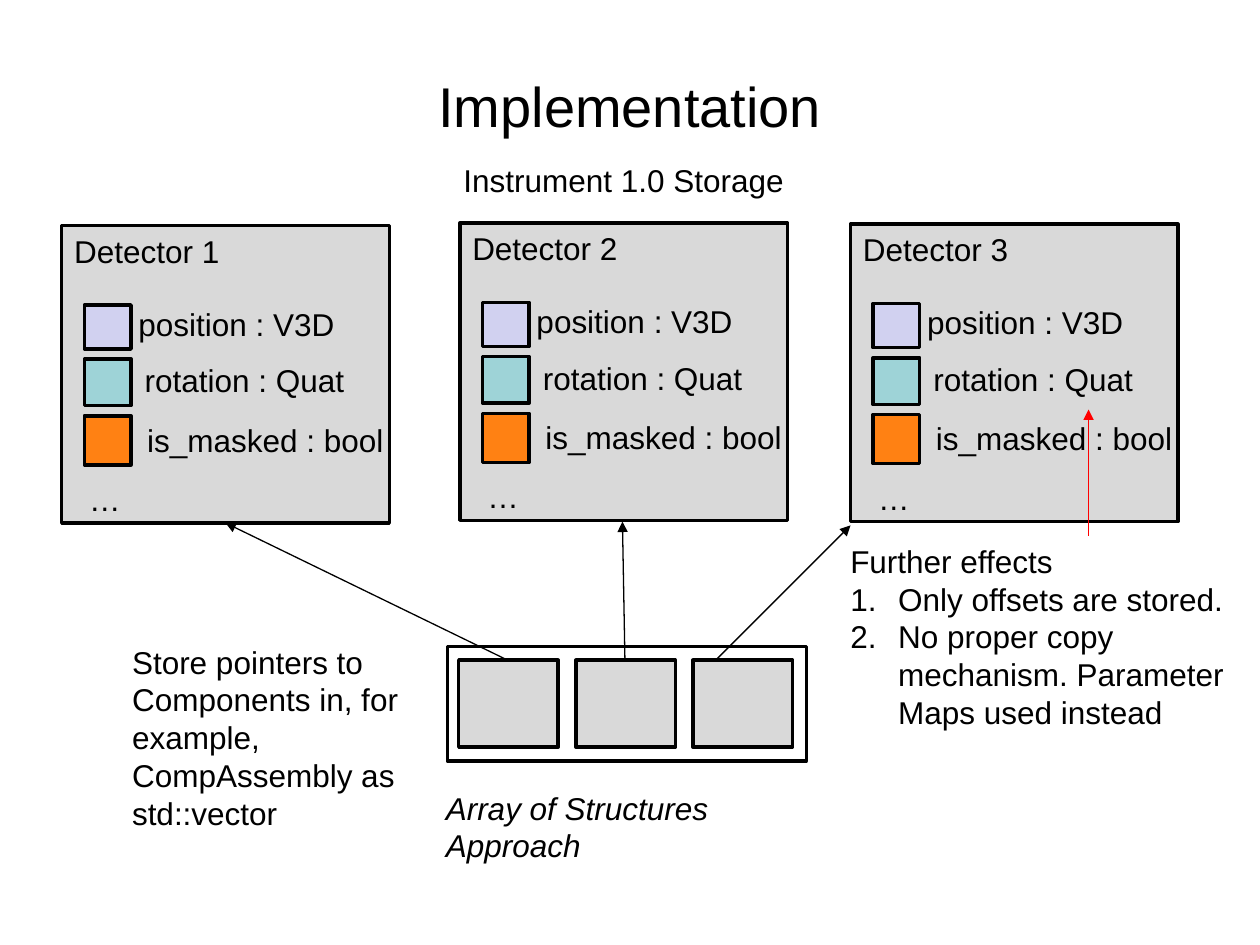
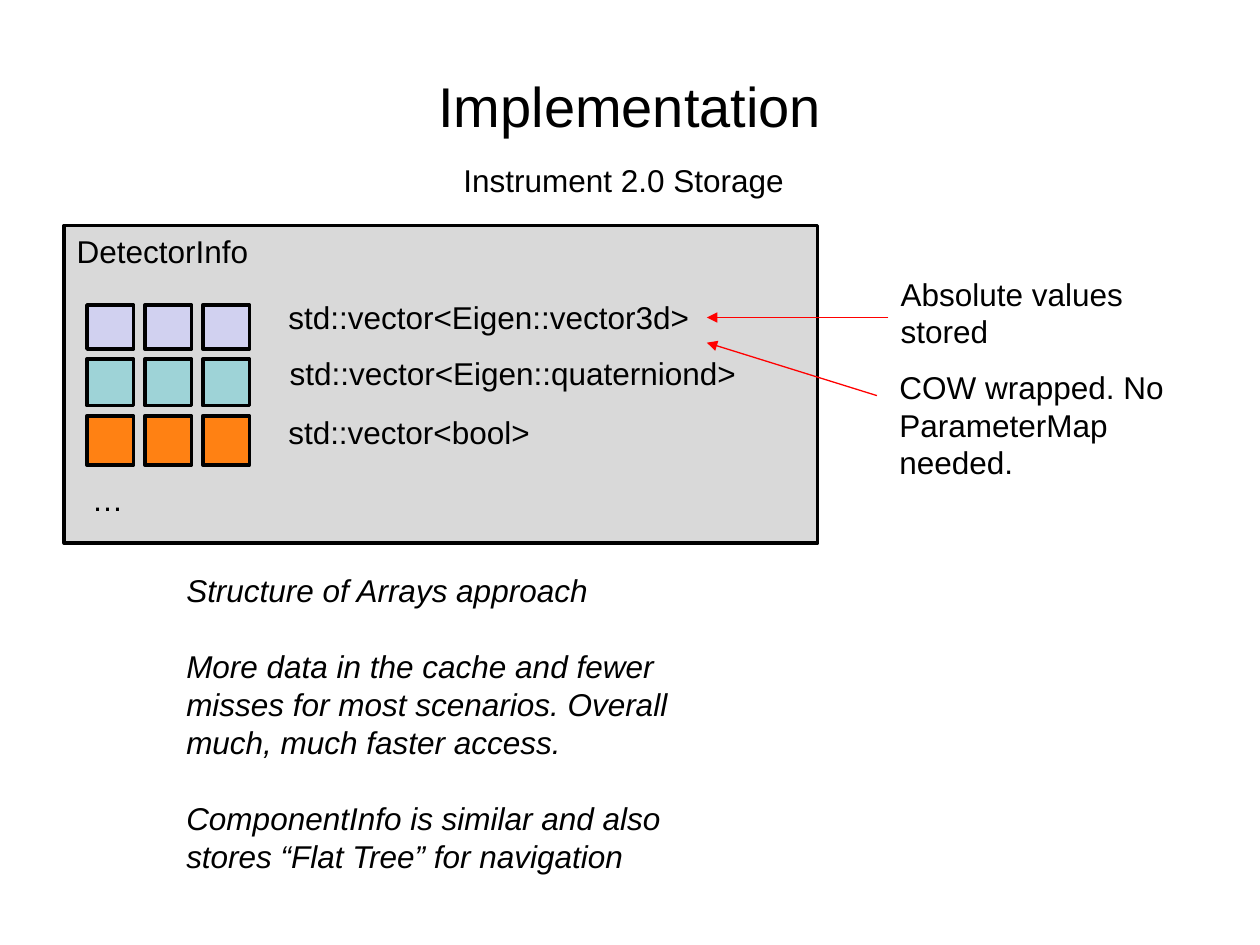
import lxml.etree
import pptx
import pptx.dml.color
import pptx.enum.shapes
import pptx.enum.text
import pptx.oxml.ns
import pptx.util

PX = 9144
FONT = "Arial"
COLORS = {
    "ink": "000000",
    "panel": "D9D9D9",
    "position": "D1D1F0",
    "rotation": "9ED3D7",
    "mask": "FF8113",
    "callout": "FF0000",
}
FIELDS = [("position", 63, 35), ("rotation", 106, 37), ("mask", 151, 39)]
SWATCH_WIDTH = 37
SWATCH_STEP = 46


def color(name):
    return pptx.dml.color.RGBColor.from_string(COLORS[name])


def add_xml(parent, tag, **attributes):
    return lxml.etree.SubElement(parent, pptx.oxml.ns.qn(tag), **attributes)


class Deck:
    def __init__(self):
        self.presentation = pptx.Presentation()
        self.presentation.slide_width = 1000 * PX
        self.presentation.slide_height = 750 * PX
        self.slide = None

    def start(self, storage):
        self.slide = self.presentation.slides.add_slide(self.presentation.slide_layouts[6])
        self.text(337, 52, 326, 64, ["Implementation"], size=32, wrap=False, centered=True)
        self.text(358, 123, 284, 40, [storage], wrap=False)

    def box(self, left, top, width, height, fill=None):
        box = self.slide.shapes.add_shape(
            pptx.enum.shapes.MSO_SHAPE.RECTANGLE, left * PX, top * PX, width * PX, height * PX)
        box.shadow.inherit = False
        if fill:
            box.fill.solid()
            box.fill.fore_color.rgb = color(fill)
        else:
            box.fill.background()
        box.line.color.rgb = color("ink")
        box.line.width = pptx.util.Pt(2)

    def text(self, left, top, width, height, lines, size=18, wrap=True,
             italic=False, centered=False, numbered_from=None, gap=0):
        frame = self.slide.shapes.add_textbox(
            left * PX, top * PX, width * PX, height * PX).text_frame
        frame.word_wrap = wrap
        frame.auto_size = pptx.enum.text.MSO_AUTO_SIZE.SHAPE_TO_FIT_TEXT
        for index, line in enumerate(lines):
            paragraph = frame.add_paragraph() if index else frame.paragraphs[0]
            if centered:
                paragraph.alignment = pptx.enum.text.PP_ALIGN.CENTER
            if index and gap:
                paragraph.space_before = pptx.util.Pt(gap)
            if numbered_from is not None and index >= numbered_from:
                self.number(paragraph)
            run = paragraph.add_run()
            run.text = line
            run.font.name = FONT
            run.font.size = pptx.util.Pt(size)
            run.font.italic = italic
            run.font.color.rgb = color("ink")

    def number(self, paragraph):
        properties = paragraph._p.get_or_add_pPr()
        properties.set("marL", str(38 * PX))
        properties.set("indent", str(-38 * PX))
        add_xml(properties, "a:buFont", typeface=FONT)
        add_xml(properties, "a:buAutoNum", type="arabicPeriod")

    def arrow(self, start, end, stroke="ink"):
        arrow = self.slide.shapes.add_connector(
            pptx.enum.shapes.MSO_CONNECTOR.STRAIGHT, *(value * PX for value in start + end))
        arrow.line.color.rgb = color(stroke)
        arrow.line.width = pptx.util.Pt(0.75)
        add_xml(arrow.line._get_or_add_ln(), "a:tailEnd", type="triangle")
        add_xml(arrow._element.spPr, "a:effectLst")

    def panel(self, left, top, width, height, heading, columns, labels):
        self.box(left, top, width, height, "panel")
        for field, offset, swatch_height in FIELDS:
            for column in range(columns):
                self.box(left + 18 + SWATCH_STEP * column, top + offset,
                         SWATCH_WIDTH, swatch_height, field)
        for label, right, down, label_width in labels:
            self.text(left + right, top + down, label_width, 40, [label], wrap=False)
        self.text(left, top, 260, 40, [heading])
        self.text(left + 12, top + 197, 45, 40, ["…"], wrap=False)


def build_array_of_structures(deck):
    deck.start("Instrument 1.0 Storage")
    members = [
        ("position : V3D", 51, 58, 177),
        ("rotation : Quat", 56, 103, 180),
        ("is_masked : bool", 58, 150, 210),
    ]
    detectors = [(49, 179), (365, 177), (675, 178)]
    for index, (left, top) in enumerate(detectors, 1):
        deck.panel(left, top, 260, 236, f"Detector {index}", 1, members)
    for index in range(3):
        deck.box(364 + 93 * index, 524, 79, 69, "panel")
    for pointer, detector in [((403, 524), (179, 415)),
                              ((496, 524), (494, 414)),
                              ((568, 524), (675, 417))]:
        deck.arrow(pointer, detector)
    deck.arrow((864, 425), (864, 325), "callout")
    deck.box(355, 513, 285, 91)
    deck.text(95, 505, 260, 192, [
        "Store pointers to Components in, for example, CompAssembly as std::vector"])
    deck.text(665, 425, 321, 192, [
        "Further effects",
        "Only offsets are stored.",
        "No proper copy mechanism. Parameter Maps used instead",
    ], numbered_from=1)
    deck.text(344, 621, 260, 101, ["Array of Structures Approach"], italic=True)


def build_structure_of_arrays(deck):
    deck.start("Instrument 2.0 Storage")
    vectors = [
        ("std::vector<Eigen::vector3d>", 168, 53, 341),
        ("std::vector<Eigen::quaterniond>", 169, 97, 378),
        ("std::vector<bool>", 168, 144, 214),
    ]
    deck.panel(51, 179, 598, 252, "DetectorInfo", 3, vectors)
    deck.arrow((705, 252), (561, 252), "callout")
    deck.arrow((696, 314), (561, 272), "callout")
    deck.text(705, 213, 260, 101, ["Absolute values stored"])
    deck.text(704, 287, 260, 131, ["COW wrapped. No ParameterMap needed."])
    deck.text(138, 448, 442, 313, [
        "Structure of Arrays approach",
        "More data in the cache and fewer misses for most scenarios. "
        "Overall much, much faster access.",
        "ComponentInfo is similar and also stores “Flat Tree” for navigation",
    ], italic=True, gap=22)


def main():
    deck = Deck()
    build_array_of_structures(deck)
    build_structure_of_arrays(deck)
    deck.presentation.save("out.pptx")


if __name__ == "__main__":
    main()
